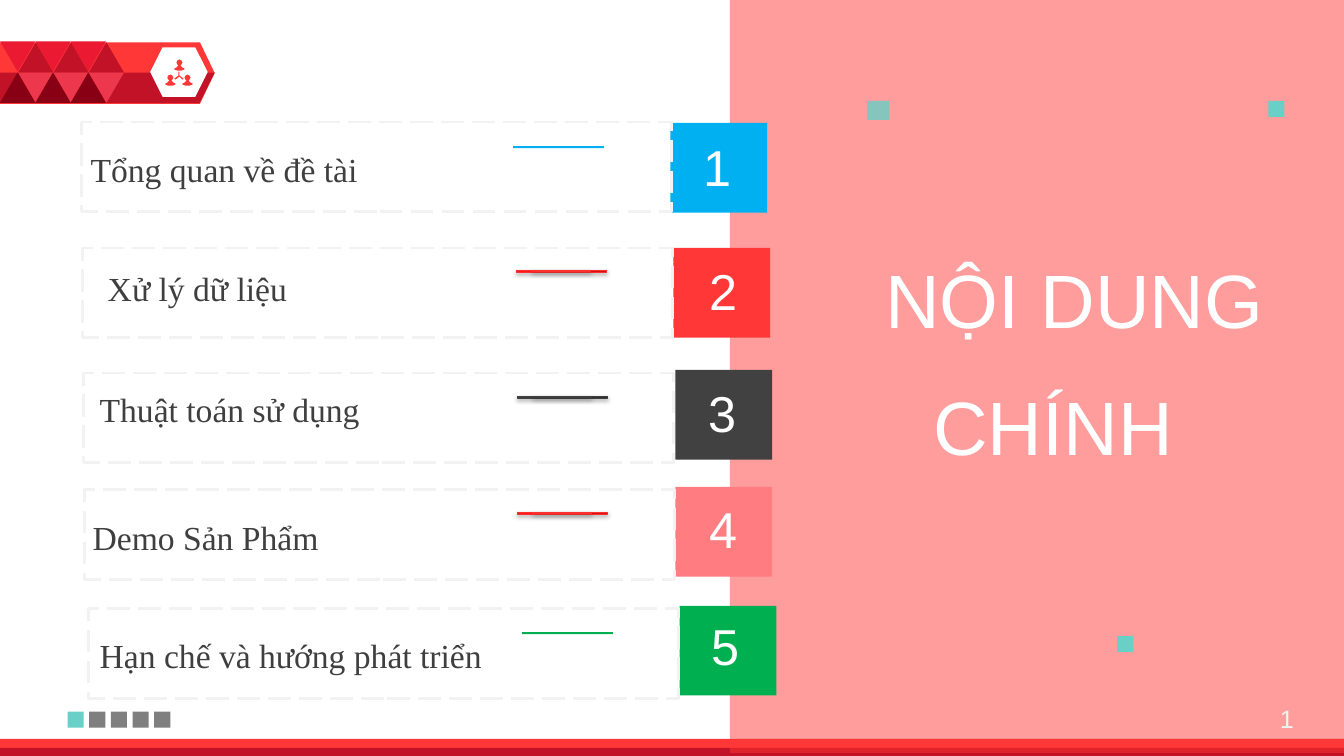
import pptx
import pptx.util
import pptx.dml.color
import pptx.enum.dml
import pptx.enum.shapes
import pptx.enum.text
import lxml.etree

KIND = pptx.enum.shapes.MSO_SHAPE
ALIGN = pptx.enum.text.PP_ALIGN
NS = "{http://schemas.openxmlformats.org/drawingml/2006/main}"
COLS, ROWS = 13.33, 7.5  # the grid: one cell is one inch square

RED, DARK, TEAL, GREY = "FF3737", "C21227", "68D0C6", "7F7F7F"
WHITE, PALE, INK = "FFFFFF", "F2F2F2", "3F3F3F"
SANS, SERIF = "Arial", "Times New Roman"


def paint(code):
    return pptx.dml.color.RGBColor.from_string(code)


class Board:
    """Holds the style and the current slide."""

    def __init__(self, deck):
        self.slide = deck.slides.add_slide(deck.slide_layouts[6])
        self.wide, self.high = deck.slide_width, deck.slide_height

    def col(self, n):
        return round(self.wide * n / COLS)

    def row(self, n):
        return round(self.high * n / ROWS)

    def area(self, x, y, w, h):
        return self.col(x), self.row(y), self.col(w), self.row(h)

    def shape(self, kind, x, y, w, h, fill=None, turn=0, clear=None, adj=None):
        item = self.slide.shapes.add_shape(kind, *self.area(x, y, w, h))
        item.rotation = turn
        if adj is not None:
            item.adjustments[0] = adj
        return self.coat(item, fill, clear)

    def coat(self, item, fill, clear=None):
        item.shadow.inherit = False
        item.line.fill.background()
        if fill is None:
            item.fill.background()
            return item
        item.fill.solid()
        item.fill.fore_color.rgb = paint(fill)
        if clear:
            tone = item._element.spPr.find(f".//{NS}srgbClr")
            lxml.etree.SubElement(tone, NS + "alpha", val=str(clear * 1000))
        return item

    def rect(self, *args, **style):
        return self.shape(KIND.RECTANGLE, *args, **style)

    def free(self, loops, fill):
        rings = [[(self.col(x), self.row(y)) for x, y in loop] for loop in loops]
        pen = self.slide.shapes.build_freeform(*rings[0][0], scale=1.0)
        for n, ring in enumerate(rings):
            if n:
                pen.move_to(*ring[0])
            pen.add_line_segments(ring[1:], close=True)
        return self.coat(pen.convert_to_shape(), fill)

    def text(self, words, x, y, w, h, size, font, ink, align=ALIGN.LEFT):
        box = self.slide.shapes.add_textbox(*self.area(x, y, w, h))
        frame = box.text_frame
        frame.word_wrap = True
        frame.auto_size = pptx.enum.text.MSO_AUTO_SIZE.SHAPE_TO_FIT_TEXT
        para = frame.paragraphs[0]
        para.alignment = align
        run = para.add_run()
        run.text = words
        run.font.size = pptx.util.Pt(size)
        run.font.name = font
        run.font.color.rgb = paint(ink)

    def frame(self, x, y, w, h):
        box = self.rect(x, y, w, h)
        box.line.color.rgb = paint(PALE)
        box.line.width = pptx.util.Pt(2)
        box.line.dash_style = pptx.enum.dml.MSO_LINE.LONG_DASH

    def bar(self, x, y, w, h, fill, glow=None):
        item = self.rect(x, y, w, h, fill=fill, turn=270)
        if not glow:
            return
        # Shaded bar with an edge and a soft shadow below
        start, end, edge = glow
        item.fill.gradient()
        item.fill.gradient_angle = 90
        for stop, spot, tone in zip(item.fill.gradient_stops, (0, 0.8), (start, end)):
            stop.position = spot
            stop.color.rgb = paint(tone)
        item.line.color.rgb = paint(edge)
        item.line.width = pptx.util.Pt(0.75)
        cast = lxml.etree.SubElement(
            item._element.spPr.find(NS + "effectLst"), NS + "outerShdw",
            blurRad=str(pptx.util.Pt(3.1)), dist=str(pptx.util.Pt(1.8)),
            dir="5400000", rotWithShape="0")
        tone = lxml.etree.SubElement(cast, NS + "srgbClr", val="000000")
        lxml.etree.SubElement(tone, NS + "alpha", val="35000")


def banner(board):
    # Arrow ribbon and hexagon
    board.shape(KIND.PENTAGON, 0, 0.42, 2.13, 0.61, RED, adj=0.24)
    board.free([[(0, 0.72), (2.13, 0.72), (1.98, 1.02), (0, 1.02)]], DARK)
    board.shape(KIND.HEXAGON, 1.49, 0.47, 0.57, 0.49, WHITE, adj=0.25)

    # Three linked people
    half = [(0, 0), (0.02, 0.01), (0.03, 0.03), (0.02, 0.05), (0.01, 0.06),
            (0.03, 0.08), (0.05, 0.09), (0.05, 0.1), (0.02, 0.11)]
    whole = half + [(-x, y) for x, y in half[:0:-1]]
    loops = [[(x + dx, y + dy) for dx, dy in whole]
             for x, y in ((1.78, 0.59), (1.69, 0.74), (1.86, 0.74))]
    loops.append([(1.77, 0.71), (1.78, 0.71), (1.78, 0.75), (1.82, 0.78),
                  (1.81, 0.79), (1.78, 0.76), (1.74, 0.79), (1.73, 0.78),
                  (1.77, 0.75)])
    board.free(loops, RED)

    # Triangle pattern
    for n in range(3):
        x = 0.35 * n
        for dx, y, fill, turn in ((0, 0.41, "EB1932", 180), (0.18, 0.42, DARK, 0),
                                  (0.18, 0.72, "ED374D", 180), (0, 0.72, "880014", 0)):
            board.shape(KIND.ISOSCELES_TRIANGLE, x + dx, y, 0.35, 0.3, fill, turn)


def panel(board):
    # Footer stripes, then the tinted panel over them
    board.rect(0, 7.33, COLS, 0.16, fill=RED)
    board.rect(0, 7.42, COLS, 0.08, fill=DARK)
    board.rect(7.24, -0.03, 6.09, 7.5, fill=RED, clear=49)

    # Title
    for words, x, y in (("NỘI DUNG", 5.96, 2.46), ("CHÍNH", 5.06, 3.72)):
        board.text(words, x, y, 6.67, 1.01, 54, SANS, WHITE, ALIGN.RIGHT)

    # Small squares and page number
    board.rect(8.6, 1, 0.22, 0.19, fill=TEAL, clear=80)
    for x, y in ((11.08, 6.31), (12.58, 1)):
        board.rect(x, y, 0.16, 0.16, fill=TEAL)
    for n in range(5):
        board.rect(0.67 + 0.215 * n, 7.06, 0.16, 0.16, fill=GREY if n else TEAL)
    board.text("1", 12.34, 6.93, 0.59, 0.4, 18, SANS, PALE, ALIGN.RIGHT)


def agenda(board):
    warm = ("D11111", "FF1818", "FD3030")
    cool = ("2F2F2F", "3E3E3E", "3F3F3F")
    # words, fill, glow, then places of tile, digit, label, bar and frame
    items = (
        ("Tổng quan về đề tài", "00B0F0", None,
         (6.65, 1.22), (6.77, 1.3), (0.8, 1.43), (5.53, 1.01), (0.81, 1.21)),
        ("Xử lý dữ liệu", RED, warm,
         (6.68, 2.46), (6.83, 2.53), (0.97, 2.61), (5.56, 2.24), (0.82, 2.46)),
        ("Thuật toán sử dụng", "414141", cool,
         (6.7, 3.67), (6.82, 3.74), (0.89, 3.81), (5.57, 3.49), (0.83, 3.7)),
        ("Demo Sản Phẩm", "FF7C80", warm,
         (6.7, 4.83), (6.83, 4.89), (0.82, 5.08), (5.57, 4.64), (0.84, 4.86)),
        ("Hạn chế và hướng phát triển", "00B050", None,
         (6.74, 6.01), (6.85, 6.05), (0.89, 6.25), (5.62, 5.83), (0.88, 6.04)),
    )
    for n, (words, fill, glow, tile, digit, label, bar, edge) in enumerate(items, 1):
        board.rect(*tile, 0.96, 0.89, fill=fill)
        board.text(str(n), *digit, 0.7, 0.71, 36, SANS, WHITE, ALIGN.CENTER)
        board.text(words, *label, 5.31, 0.5, 24, SERIF, INK)
        board.bar(*bar, 0.02, 0.9, fill, glow)
        board.bar(bar[0], bar[1] + 0.16, 0.01, 0.58, fill, glow)
        board.frame(*edge, 5.85, 0.89)


def main():
    deck = pptx.Presentation()
    deck.slide_width = pptx.util.Inches(COLS)
    deck.slide_height = pptx.util.Inches(ROWS)
    board = Board(deck)
    banner(board)
    panel(board)
    agenda(board)
    deck.save("out.pptx")


if __name__ == "__main__":
    main()
